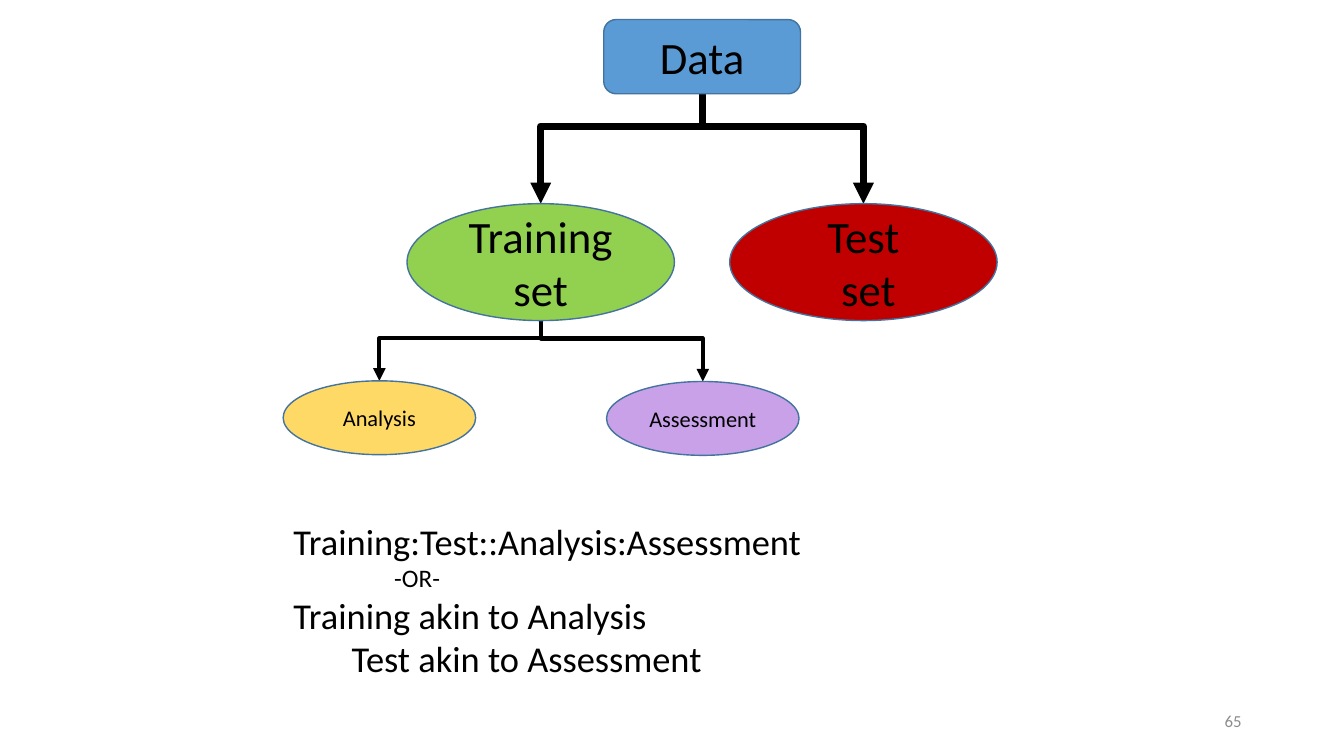
from dataclasses import dataclass

from lxml import etree
from pptx import Presentation
from pptx.dml.color import RGBColor
from pptx.enum.shapes import MSO_CONNECTOR, MSO_SHAPE
from pptx.enum.text import MSO_ANCHOR, MSO_AUTO_SIZE, PP_ALIGN
from pptx.oxml.ns import qn
from pptx.shapes.autoshape import Shape
from pptx.slide import Slide
from pptx.text.text import _Paragraph
from pptx.util import Pt

ELBOW = MSO_CONNECTOR.ELBOW
ELLIPSE = MSO_SHAPE.OVAL
ROUNDED = MSO_SHAPE.ROUNDED_RECTANGLE
MIDDLE = MSO_ANCHOR.MIDDLE
CENTER, LEFT, RIGHT = PP_ALIGN.CENTER, PP_ALIGN.LEFT, PP_ALIGN.RIGHT

BLACK = RGBColor(0x00, 0x00, 0x00)
GRAY = RGBColor(0x8C, 0x8C, 0x8C)
OUTLINE = RGBColor(0x43, 0x73, 0x9E)
BLUE = RGBColor(0x5B, 0x9B, 0xD5)
GREEN = RGBColor(0x92, 0xD0, 0x50)
RED = RGBColor(0xC0, 0x00, 0x00)
YELLOW = RGBColor(0xFF, 0xD9, 0x66)
PURPLE = RGBColor(0xC8, 0xA1, 0xE9)

FONT = "Calibri"
ROOT_X = 501.5
BRANCH = 115.25
BEND = 29400


@dataclass(frozen=True)
class Node:
    lines: tuple[str, ...]
    center: float
    top: float
    width: float
    height: float
    fill: RGBColor
    size: float
    preset: MSO_SHAPE = ELLIPSE

    @property
    def bottom(self) -> float:
        return self.top + self.height


@dataclass(frozen=True)
class Branch:
    parent: Node
    child: Node
    weight: float


@dataclass(frozen=True)
class Line:
    text: str
    size: float
    indent: float = 0


DATA = Node(("Data",), ROOT_X, 14, 140.5, 53, BLUE, 32, ROUNDED)
TRAINING = Node(("Training set",), ROOT_X - BRANCH, 145.5, 191, 83.5, GREEN, 32)
TEST = Node(("Test", " set"), ROOT_X + BRANCH, 145.5, 191, 83.5, RED, 32)
ANALYSIS = Node(("Analysis",), ROOT_X - 2 * BRANCH, 272, 137.5, 52.75, YELLOW, 16)
ASSESSMENT = Node(("Assessment",), ROOT_X + 0.5, 272.5, 137.5, 52.75, PURPLE, 16)
NODES = (DATA, TRAINING, TEST, ANALYSIS, ASSESSMENT)

BRANCHES = (
    Branch(DATA, TRAINING, 5),
    Branch(DATA, TEST, 5),
    Branch(TRAINING, ANALYSIS, 3),
    Branch(TRAINING, ASSESSMENT, 3),
)

ANALOGY = (
    Line("Training:Test::Analysis:Assessment", 26),
    Line("-OR-", 18, 72),
    Line("Training akin to Analysis", 26),
    Line("Test akin to Assessment", 26, 41.5),
)
PAGE_NUMBER = (Line("65", 12),)


def format_paragraph(
    paragraph: _Paragraph, size: float, color: RGBColor, alignment: PP_ALIGN
) -> None:
    paragraph.alignment = alignment
    paragraph.font.name = FONT
    paragraph.font.size = Pt(size)
    paragraph.font.color.rgb = color


def draw_node(slide: Slide, node: Node) -> None:
    shape = slide.shapes.add_shape(
        node.preset, Pt(node.center - node.width / 2), Pt(node.top),
        Pt(node.width), Pt(node.height),
    )
    shape.shadow.inherit = False
    shape.fill.solid()
    shape.fill.fore_color.rgb = node.fill
    shape.line.color.rgb = OUTLINE
    shape.line.width = Pt(1)
    frame = shape.text_frame
    frame.word_wrap = True
    frame.vertical_anchor = MIDDLE
    frame.text = "\n".join(node.lines)
    for paragraph in frame.paragraphs:
        format_paragraph(paragraph, node.size, BLACK, CENTER)


def draw_branch(slide: Slide, branch: Branch) -> None:
    start, end = branch.parent, branch.child
    drop = end.top - start.bottom
    run = abs(end.center - start.center)
    middle_x = (start.center + end.center) / 2
    middle_y = (start.bottom + end.top) / 2
    near, far = middle_x - drop / 2, middle_x + drop / 2
    goes_right = end.center > start.center
    begin_x, end_x = (far, near) if goes_right else (near, far)
    connector = slide.shapes.add_connector(
        ELBOW, Pt(begin_x), Pt(middle_y - run / 2),
        Pt(end_x), Pt(middle_y + run / 2),
    )
    connector.line.color.rgb = BLACK
    connector.line.width = Pt(branch.weight)
    properties = connector._element.spPr
    quarter_turns = 3 if goes_right else 1
    properties.find(qn("a:xfrm")).set("rot", str(quarter_turns * 5400000))
    adjustments = properties.find(qn("a:prstGeom")).find(qn("a:avLst"))
    etree.SubElement(adjustments, qn("a:gd"), name="adj1", fmla=f"val {BEND}")
    etree.SubElement(properties.find(qn("a:ln")), qn("a:tailEnd"), type="triangle")
    etree.SubElement(properties, qn("a:effectLst"))


def draw_text(
    slide: Slide, lines: tuple[Line, ...], left: float, top: float,
    width: float, height: float, color: RGBColor, alignment: PP_ALIGN,
) -> Shape:
    box = slide.shapes.add_textbox(Pt(left), Pt(top), Pt(width), Pt(height))
    frame = box.text_frame
    frame.word_wrap = True
    frame.text = "\n".join(line.text for line in lines)
    for line, paragraph in zip(lines, frame.paragraphs):
        format_paragraph(paragraph, line.size, color, alignment)
        if line.indent:
            paragraph._p.get_or_add_pPr().set("marL", str(Pt(line.indent)))
    return box


def main() -> None:
    presentation = Presentation()
    presentation.slide_width = Pt(960)
    presentation.slide_height = Pt(540)
    slide = presentation.slides.add_slide(presentation.slide_layouts[6])
    for branch in BRANCHES:
        draw_branch(slide, branch)
    for node in NODES:
        draw_node(slide, node)
    analogy = draw_text(slide, ANALOGY, 202.5, 367, 425.5, 133, BLACK, LEFT)
    analogy.text_frame.auto_size = MSO_AUTO_SIZE.SHAPE_TO_FIT_TEXT
    number = draw_text(slide, PAGE_NUMBER, 678, 500.5, 216, 28.75, GRAY, RIGHT)
    number.text_frame.vertical_anchor = MIDDLE
    presentation.save("out.pptx")


if __name__ == "__main__":
    main()
